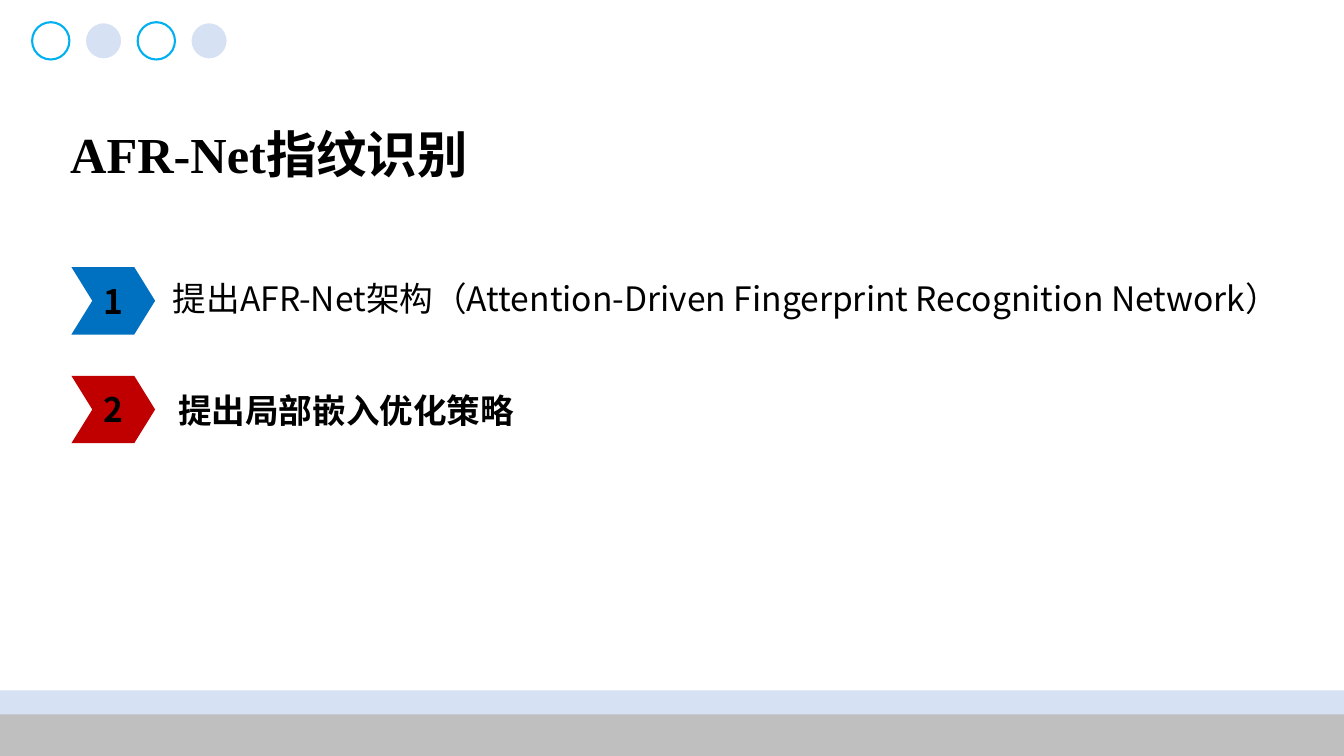
from dataclasses import dataclass

from lxml import etree
from pptx import Presentation
from pptx.dml import color
from pptx.enum import shapes, text
from pptx.oxml import ns
from pptx.util import Cm, Pt

HUES = {
    "ink": "000000", "white": "FFFFFF", "cyan": "00B0F0", "pale": "D7E1F4",
    "gray": "BFBFBF", "blue": "0070C0", "red": "C00000",
}
SANS = "Noto Sans CJK SC"
SERIF = "Times New Roman"
WIDTH, HEIGHT = 33.87, 19.05


@dataclass
class Box:
    left: float
    top: float
    width: float
    height: float

    def place(self) -> tuple:
        return Cm(self.left), Cm(self.top), Cm(self.width), Cm(self.height)


@dataclass
class Label:
    words: str
    size: int = 24
    face: str = SANS
    bold: bool = True
    wrap: bool = False
    space: float = 1.0
    align: text.PP_ALIGN = text.PP_ALIGN.LEFT


@dataclass
class Point:
    hue: str
    top: float
    box: Box
    label: Label


def tint(name: str) -> color.RGBColor:
    return color.RGBColor.from_string(HUES[name])


def write(shape, label: Label) -> None:
    frame = shape.text_frame
    frame.word_wrap = label.wrap
    frame.vertical_anchor = text.MSO_ANCHOR.MIDDLE
    para = frame.paragraphs[0]
    para.alignment = label.align
    para.line_spacing = label.space
    run = para.add_run()
    run.text = label.words
    font = run.font
    font.size = Pt(label.size)
    font.bold = label.bold
    font.name = label.face
    font.color.rgb = tint("ink")
    # East Asian typeface
    etree.SubElement(run._r.get_or_add_rPr(), ns.qn("a:ea"), typeface=SANS)


def draw(slide, kind: shapes.MSO_SHAPE, box: Box, fill: str, line: str = ""):
    shape = slide.shapes.add_shape(kind, *box.place())
    shape.shadow.inherit = False
    shape.fill.solid()
    shape.fill.fore_color.rgb = tint(fill)
    if line:
        shape.line.color.rgb = tint(line)
        shape.line.width = Pt(1.5)
    else:
        shape.line.fill.background()
    return shape


def note(slide, box: Box, label: Label) -> None:
    write(slide.shapes.add_textbox(*box.place()), label)


def main() -> None:
    deck = Presentation()
    deck.slide_width, deck.slide_height = Cm(WIDTH), Cm(HEIGHT)
    slide = deck.slides.add_slide(deck.slide_layouts[6])

    # Row of circles
    for i in range(4):
        fill, line = ("pale", "white") if i % 2 else ("white", "cyan")
        draw(slide, shapes.MSO_SHAPE.OVAL,
             Box(0.81 + 1.33 * i, 0.56, 0.94, 0.94), fill, line)

    # Footer bands
    for top, hue in ((17.4, "pale"), (18.0, "gray")):
        draw(slide, shapes.MSO_SHAPE.RECTANGLE,
             Box(0, top, WIDTH, HEIGHT - top), hue)

    # Title
    note(slide, Box(1.52, 2.72, 17, 2.46),
         Label("AFR-Net指纹识别", 36, SERIF, wrap=True, space=0.9))

    # Numbered points
    points = [
        Point("blue", 6.73, Box(4.11, 6.78, 29, 1.47),
              Label("提出AFR-Net架构（Attention-Driven Fingerprint "
                    "Recognition Network）", bold=False)),
        Point("red", 9.47, Box(4.24, 9.6, 15, 1.47),
              Label("提出局部嵌入优化策略")),
    ]
    for count, point in enumerate(points, 1):
        note(slide, point.box, point.label)
        mark = draw(slide, shapes.MSO_SHAPE.CHEVRON,
                    Box(1.8, point.top, 2.11, 1.7), point.hue)
        mark.adjustments[0] = 0.31
        write(mark, Label(str(count), align=text.PP_ALIGN.CENTER))

    deck.save("out.pptx")


if __name__ == "__main__":
    main()
